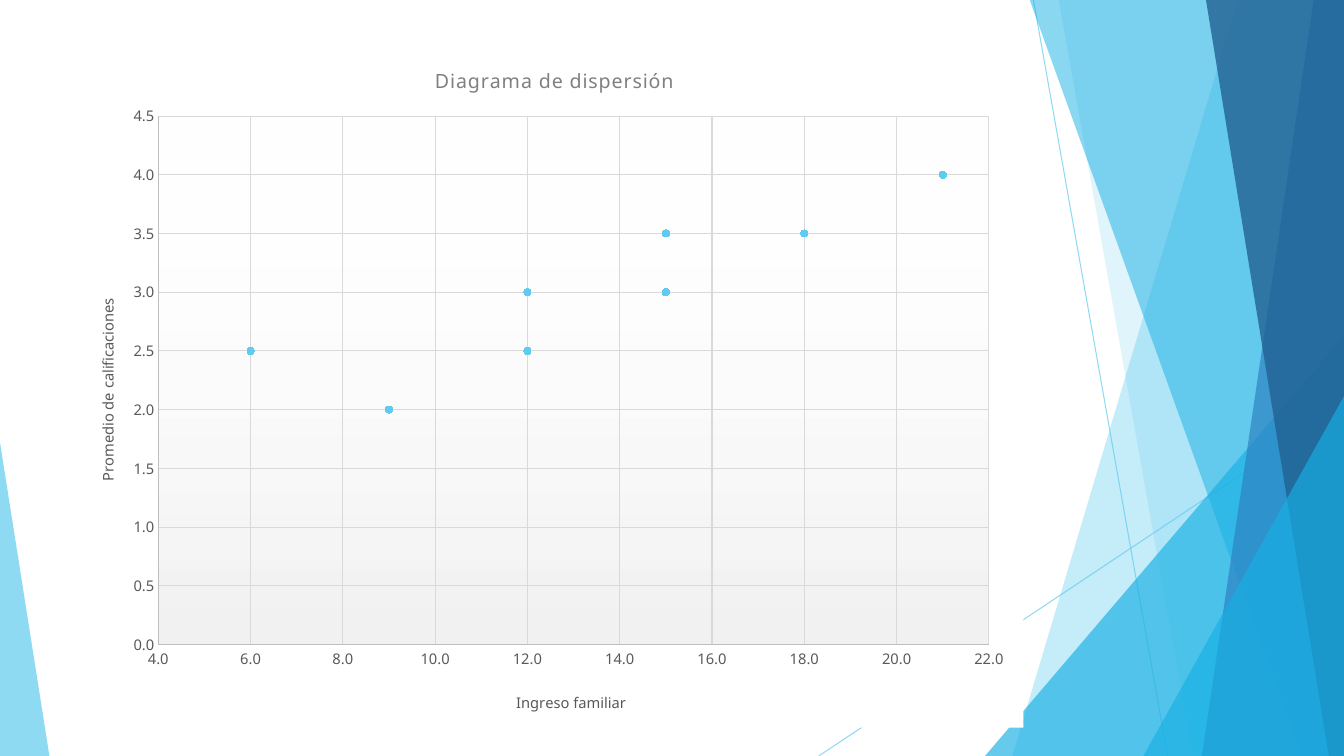
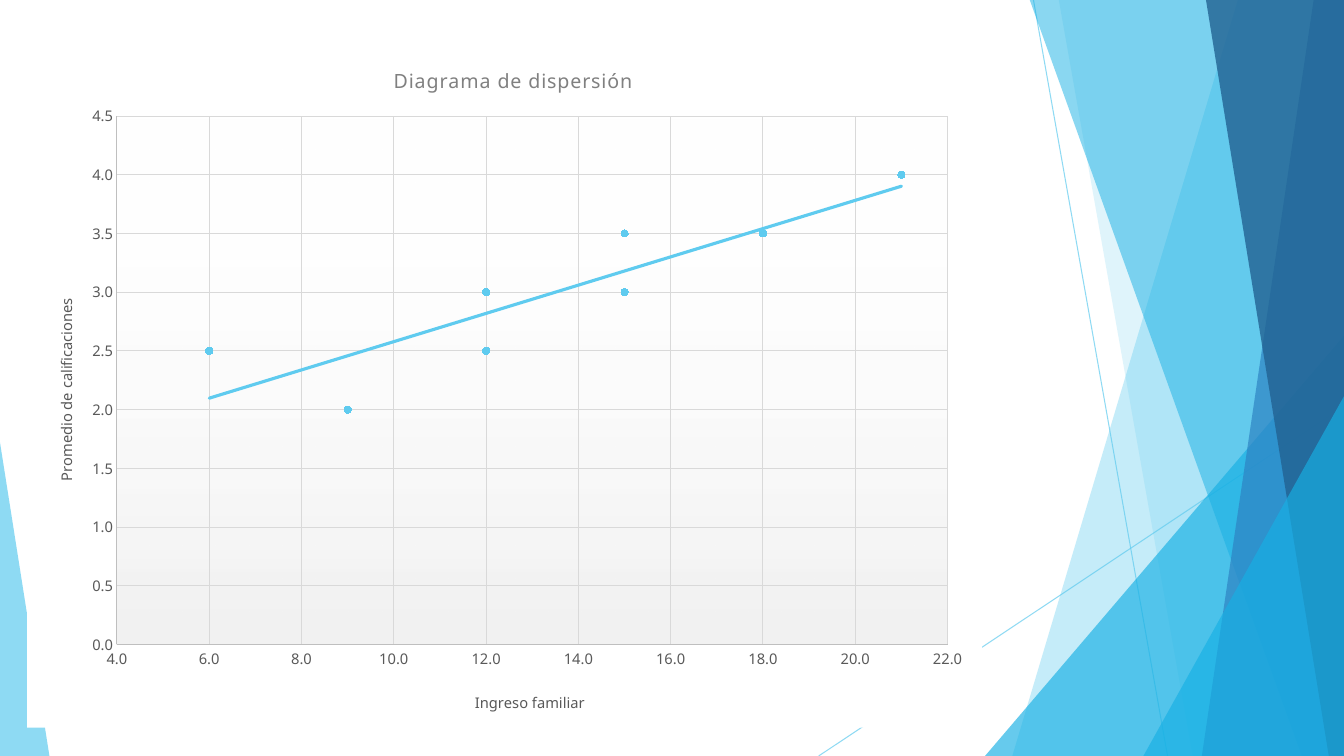
from dataclasses import dataclass

from pptx import Presentation
from pptx.chart.data import XyChartData
from pptx.dml.color import RGBColor
from pptx.enum.chart import XL_CHART_TYPE as ChartType
from pptx.enum.chart import XL_MARKER_STYLE as MarkerStyle
from pptx.enum.chart import XL_TICK_MARK as TickMark
from pptx.enum.shapes import MSO_CONNECTOR as Connector
from pptx.enum.shapes import MSO_SHAPE as ShapeType
from pptx.oxml import parse_xml
from pptx.oxml.ns import nsdecls, qn
from pptx.util import Inches, Pt


@dataclass(frozen=True)
class Theme:
    font: str = "Noto Sans"
    sky: str = "5FCBEF"
    cyan: str = "17B0E4"
    blue: str = "2E83C3"
    navy: str = "226292"
    white: str = "FFFFFF"
    shade: str = "F2F2F2"
    heading: str = "808080"
    label: str = "595959"
    axis: str = "BFBFBF"
    grid: str = "D9D9D9"
    heading_size: float = 14
    label_size: float = 10.5
    thin: float = 0.75
    trend: float = 2.25
    marker_size: int = 5


THEME = Theme()
WIDTH, HEIGHT, TOP = 13.33, 7.5, -0.01
INCOME = [21, 15, 15, 9, 12, 18, 6, 12]
GRADES = [4, 3, 3.5, 2, 3, 3.5, 2.5, 2.5]
CHART_TITLE = "Diagrama de dispersión"


def xml(markup):
    tag, rest = markup[1:].split(">", 1)
    return parse_xml(f"<{tag} {nsdecls('a', 'c')}>{rest}")


def style_font(font, size, color):
    font.name, font.size, font.bold = THEME.font, Pt(size), False
    font.color.rgb = RGBColor.from_string(color)


def write_text(frame, text, size, color, spacing=0):
    run = frame.paragraphs[0].add_run()
    run.text = text
    style_font(run.font, size, color)
    if spacing:
        run.font._element.set("spc", str(spacing))


def style_line(line, color, width):
    line.color.rgb = RGBColor.from_string(color)
    line.width = Pt(width)


def set_opacity(fill_parent, percent):
    for color in fill_parent.iter(qn("a:srgbClr")):
        color.append(xml(f'<a:alpha>{""}</a:alpha>'))
        color[-1].set("val", str(percent * 1000))


def place(element, index, target="", **fractions):
    for layout in element.findall(qn("c:layout")):
        element.remove(layout)
    inner = f'<c:layoutTarget val="{target}"/>' if target else ""
    modes = "".join(f'<c:{key}Mode val="edge"/>' for key in "xy")
    values = "".join(f'<c:{key} val="{value}"/>' for key, value in fractions.items())
    element.insert(index, xml(
        f"<c:layout><c:manualLayout>{inner}{modes}{values}</c:manualLayout></c:layout>"))


class Deck:
    def __init__(self):
        self.presentation = Presentation()
        self.presentation.slide_width = Inches(WIDTH)
        self.presentation.slide_height = Inches(HEIGHT)
        self.layout = self.presentation.slide_layouts.get_by_name("Blank")
        for placeholder in list(self.layout.placeholders):
            placeholder.element.getparent().remove(placeholder.element)
        self.slide = None

    def add_slide(self):
        self.slide = self.presentation.slides.add_slide(self.layout)

    def paint(self, shape, color, opacity):
        shape.shadow.inherit = False
        shape.fill.solid()
        shape.fill.fore_color.rgb = RGBColor.from_string(color)
        shape.line.fill.background()
        set_opacity(shape.element.spPr, opacity)

    def line(self, start, end):
        connector = self.slide.shapes.add_connector(
            Connector.STRAIGHT, *map(Inches, start + end))
        style_line(connector.line, THEME.sky, THEME.thin)
        set_opacity(connector.element.spPr, 70)
        connector.element.spPr.append(xml("<a:effectLst></a:effectLst>"))

    def band(self, top_x, bottom_x, color, opacity):
        builder = self.slide.shapes.build_freeform(Inches(top_x), Inches(TOP))
        corners = [(WIDTH, TOP), (WIDTH, HEIGHT), (bottom_x, HEIGHT)]
        builder.add_line_segments([(Inches(x), Inches(y)) for x, y in corners])
        self.paint(builder.convert_to_shape(), color, opacity)

    def triangle(self, left, top, width, apex, color, opacity):
        shape = self.slide.shapes.add_shape(
            ShapeType.ISOSCELES_TRIANGLE, Inches(left), Inches(top),
            Inches(width), Inches(HEIGHT - top))
        shape.adjustments[0] = apex
        self.paint(shape, color, opacity)

    def facets(self):
        self.line((10.25, 0), (11.58, HEIGHT))
        self.line((WIDTH, 4.03), (8.12, HEIGHT))
        self.band(12.28, 10.04, THEME.sky, 36)
        self.band(10.5, 11.83, THEME.sky, 20)
        self.triangle(9.77, 3.33, 3.56, 1, THEME.cyan, 66)
        self.band(10.21, 12.91, THEME.cyan, 50)
        self.band(13.03, 11.92, THEME.blue, 70)
        self.band(11.96, 13.18, THEME.navy, 80)
        self.triangle(11.34, 3.93, 1.99, 1, THEME.cyan, 66)
        self.triangle(0, 4.39, 0.49, 0, THEME.sky, 70)

    def move_to_layout(self):
        for shape in list(self.slide.shapes):
            self.layout.shapes.element.append(shape.element)

    def axis(self, axis, title, low, high, step, x, y, rotation):
        axis.minimum_scale, axis.maximum_scale, axis.major_unit = low, high, step
        axis.major_tick_mark = axis.minor_tick_mark = TickMark.NONE
        axis.has_major_gridlines = True
        style_line(axis.major_gridlines.format.line, THEME.grid, THEME.thin)
        style_line(axis.format.line, THEME.axis, THEME.thin)
        axis.tick_labels.number_format = "0.0"
        axis.tick_labels.number_format_is_linked = False
        style_font(axis.tick_labels.font, THEME.label_size, THEME.label)
        frame = axis.axis_title.text_frame
        write_text(frame, title, THEME.label_size, THEME.label)
        body = frame._txBody.find(qn("a:bodyPr"))
        body.set("rot", str(rotation * 60000))
        body.set("vert", "horz")
        place(axis.axis_title._element, 1, x=x, y=y)

    def scatter(self, left, trend=False):
        data = XyChartData(number_format="General")
        points = data.add_series(CHART_TITLE)
        for income, grade in zip(INCOME, GRADES):
            points.add_data_point(income, grade)
        chart = self.slide.shapes.add_chart(
            ChartType.XY_SCATTER, Inches(left), Inches(0.34),
            Inches(9.47), Inches(6.88), data).chart
        chart.has_legend = False
        chart.font.name, chart.font.size = THEME.font, Pt(10)
        frame = chart.chart_title.text_frame
        write_text(frame, CHART_TITLE, THEME.heading_size, THEME.heading, spacing=50)
        place(chart.chart_title._element, 1, x=0.38, y=0.04)
        self.axis(chart.category_axis, "Ingreso familiar", 4, 22, 2, 0.466, 0.943, 0)
        self.axis(chart.value_axis, "Promedio de calificaciones",
                  0, 4.5, 0.5, 0.026, 0.376, -90)
        self.chart_fills(chart)

        series = chart.plots[0].series[0]
        series.format.line.fill.background()
        series.marker.style = MarkerStyle.CIRCLE
        series.marker.size = THEME.marker_size
        series.marker.format.fill.solid()
        series.marker.format.fill.fore_color.rgb = RGBColor.from_string(THEME.sky)
        series.marker.format.line.fill.background()
        chart.plots[0].vary_by_categories = False
        if trend:
            self.trend_line(series)

    def chart_fills(self, chart):
        space = chart._chartSpace
        space.find(qn("c:txPr")).addprevious(xml(
            f'<c:spPr><a:solidFill><a:srgbClr val="{THEME.white}"/></a:solidFill>'
            "<a:ln><a:noFill/></a:ln></c:spPr>"))
        plot_area = space.chart.plotArea
        place(plot_area, 0, "inner", x=0.094, y=0.118, w=0.87, h=0.762)
        plot_area.append(xml(
            "<c:spPr><a:gradFill><a:gsLst>"
            f'<a:gs pos="0"><a:srgbClr val="{THEME.white}"><a:alpha val="0"/></a:srgbClr></a:gs>'
            f'<a:gs pos="100000"><a:srgbClr val="{THEME.shade}"/></a:gs>'
            '</a:gsLst><a:lin ang="5400000" scaled="0"/></a:gradFill>'
            "<a:ln><a:noFill/></a:ln></c:spPr>"))

    def trend_line(self, series):
        series._element.find(qn("c:xVal")).addprevious(xml(
            f'<c:trendline><c:spPr><a:ln w="{Pt(THEME.trend)}" cap="rnd"><a:solidFill>'
            f'<a:srgbClr val="{THEME.sky}"/></a:solidFill></a:ln></c:spPr>'
            '<c:trendlineType val="linear"/><c:dispRSqr val="0"/>'
            '<c:dispEq val="0"/></c:trendline>'))


deck = Deck()
deck.add_slide()
deck.facets()
deck.move_to_layout()
deck.scatter(0.68)
deck.add_slide()
deck.scatter(0.27, trend=True)
deck.presentation.save("out.pptx")
